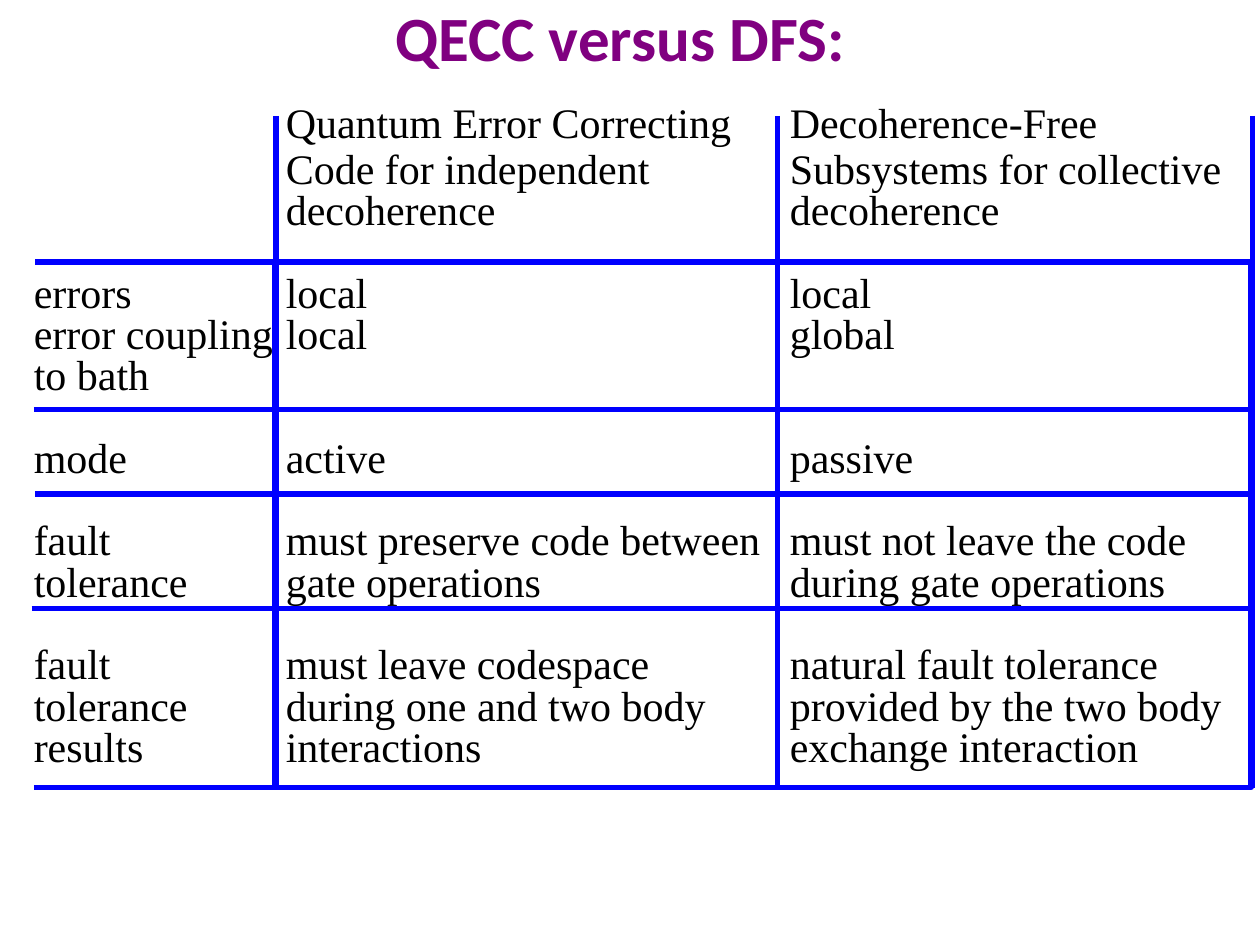
from lxml import etree
from pptx import Presentation
from pptx.dml.color import RGBColor
from pptx.enum.shapes import MSO_CONNECTOR, MSO_SHAPE
from pptx.enum.text import MSO_ANCHOR, MSO_AUTO_SIZE, PP_ALIGN
from pptx.oxml.ns import qn
from pptx.util import Inches, Pt

STRAIGHT = MSO_CONNECTOR.STRAIGHT
RECTANGLE = MSO_SHAPE.RECTANGLE
TOP, MIDDLE = MSO_ANCHOR.TOP, MSO_ANCHOR.MIDDLE
GROW = MSO_AUTO_SIZE.SHAPE_TO_FIT_TEXT
CENTER, LEFT = PP_ALIGN.CENTER, PP_ALIGN.LEFT

PURPLE, BLACK, BLUE = "800080", "000000", "0000FF"
TITLE_FONT = {"name": "Calibri", "size": Pt(36), "bold": True}
BODY_FONT = {"name": "Times New Roman", "size": Pt(24)}
RULE_WIDTH = Pt(3)
LINE_GAP, GROUP_GAP = Pt(15), Pt(38.5)
COLUMN_TABS = (2, 6)

GROUPS = [
    [
        ("", "Quantum Error Correcting", "Decoherence-Free"),
        ("", "Code for independent", "Subsystems for collective"),
        ("", "decoherence", "decoherence"),
    ],
    [
        ("errors", "local", "local"),
        ("error coupling", "local", "global"),
        ("to bath",),
    ],
    [("mode", "active", "passive")],
    [
        ("fault", "must preserve code between", "must not leave the code"),
        ("tolerance", "gate operations", "during gate operations"),
    ],
    [
        ("fault", "must leave codespace", "natural fault tolerance"),
        ("tolerance", "during one and two body", "provided by the two body"),
        ("results", "interactions", "exchange interaction"),
    ],
]

COLUMN_RULES = (6.17, 2.19, 9.94)
ROW_RULES = [
    (0.27, 9.93, 3.25),
    (0.28, 9.94, 2.08),
    (0.28, 9.95, 3.92),
    (0.25, 9.92, 4.83),
    (0.27, 9.93, 6.25),
]


def color(value):
    """Return the colour for a hex string."""
    return RGBColor.from_string(value)


def apply(target, values):
    """Set each attribute of the target from a dict."""
    for name, value in values.items():
        setattr(target, name, value)


def write(para, text, font, hex_color):
    """Add one formatted span to a paragraph."""
    span = para.add_run()
    span.text = text
    apply(span.font, font)
    span.font.color.rgb = color(hex_color)


def add_tabs(para, positions):
    """Give a paragraph left tab stops at positions in inches."""
    tabs = etree.SubElement(para._p.get_or_add_pPr(), qn("a:tabLst"))
    for position in positions:
        etree.SubElement(tabs, qn("a:tab"), pos=str(Inches(position)), algn="l")


def place_title(page, left, top, width, height):
    """Move and fill the title placeholder."""
    title = page.shapes.title
    apply(title, {"left": Inches(left), "top": Inches(top),
                  "width": Inches(width), "height": Inches(height)})
    frame = title.text_frame
    apply(frame, {"vertical_anchor": MIDDLE, "word_wrap": True})
    para = frame.paragraphs[0]
    para.alignment = CENTER
    write(para, "QECC versus DFS:", TITLE_FONT, PURPLE)


def place_comparison(page, left, top, width, height):
    """Write the tabbed comparison with a wider gap before each group."""
    box = page.shapes.add_textbox(Inches(left), Inches(top), Inches(width), Inches(height))
    frame = box.text_frame
    apply(frame, {"word_wrap": True, "vertical_anchor": TOP, "auto_size": GROW})
    for group_index, group in enumerate(GROUPS):
        for row_index, row in enumerate(group):
            first = group_index == row_index == 0
            para = frame.paragraphs[0] if first else frame.add_paragraph()
            add_tabs(para, COLUMN_TABS)
            gap = GROUP_GAP if row_index == 0 else LINE_GAP
            apply(para, {"alignment": LEFT,
                         "line_spacing": 0.7 if first else 0.3,
                         "space_before": Pt(0) if first else gap})
            write(para, "\t".join(row), BODY_FONT, BLACK)


def draw_rule(page, x1, y1, x2, y2):
    """Draw one straight blue rule."""
    rule = page.shapes.add_connector(STRAIGHT, Inches(x1), Inches(y1), Inches(x2), Inches(y2))
    rule.line.color.rgb = color(BLUE)
    rule.line.width = RULE_WIDTH
    etree.SubElement(rule._element.spPr, qn("a:effectLst"))


def place_grid(page, left, top, width, height):
    """Draw the frame of the values and the column and row rules."""
    frame = page.shapes.add_shape(RECTANGLE, Inches(left), Inches(top),
                                  Inches(width), Inches(height))
    frame.shadow.inherit = False
    frame.fill.background()
    frame.line.color.rgb = color(BLUE)
    frame.line.width = RULE_WIDTH
    header_top = 0.92
    for x in COLUMN_RULES:
        draw_rule(page, x, header_top, x, top + height)
    for start, end, y in ROW_RULES:
        draw_rule(page, start, y, end, y)


def main():
    """Build the slide and save the deck."""
    deck = Presentation()
    deck.slide_width, deck.slide_height = Inches(10), Inches(7.5)
    page = deck.slides.add_slide(deck.slide_layouts[5])
    place_title(page, 0.67, 0, 8.5, 0.58)
    place_comparison(page, 0.17, 0.83, 9.83, 5.31)
    place_grid(page, 2.18, 2.08, 7.75, 4.17)
    deck.save("out.pptx")


if __name__ == "__main__":
    main()
